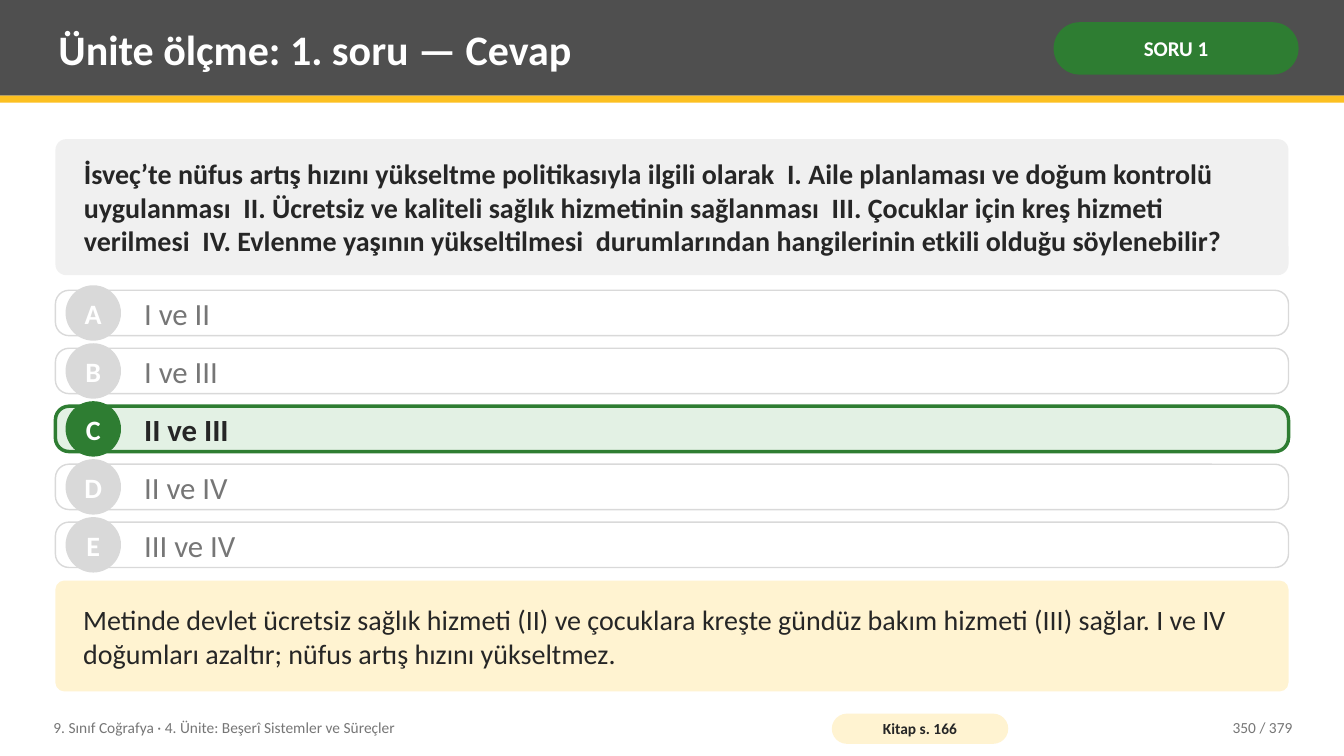
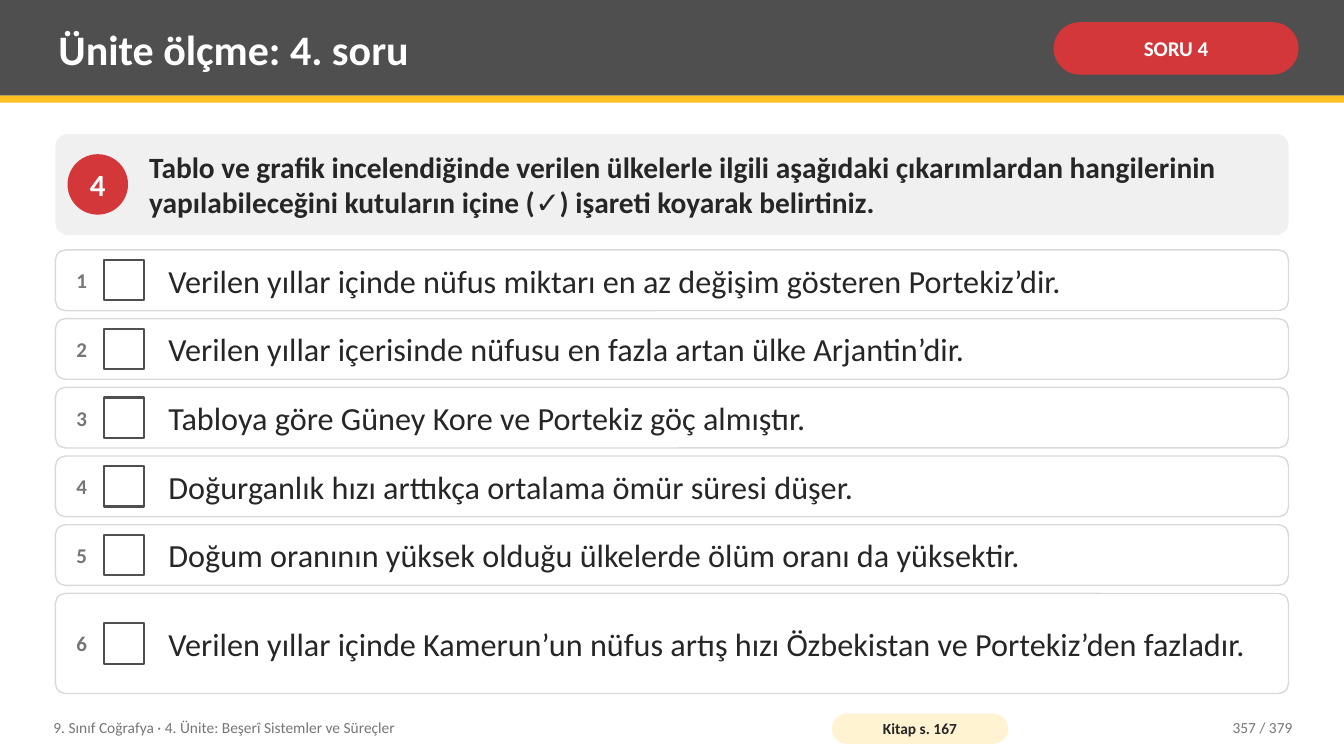
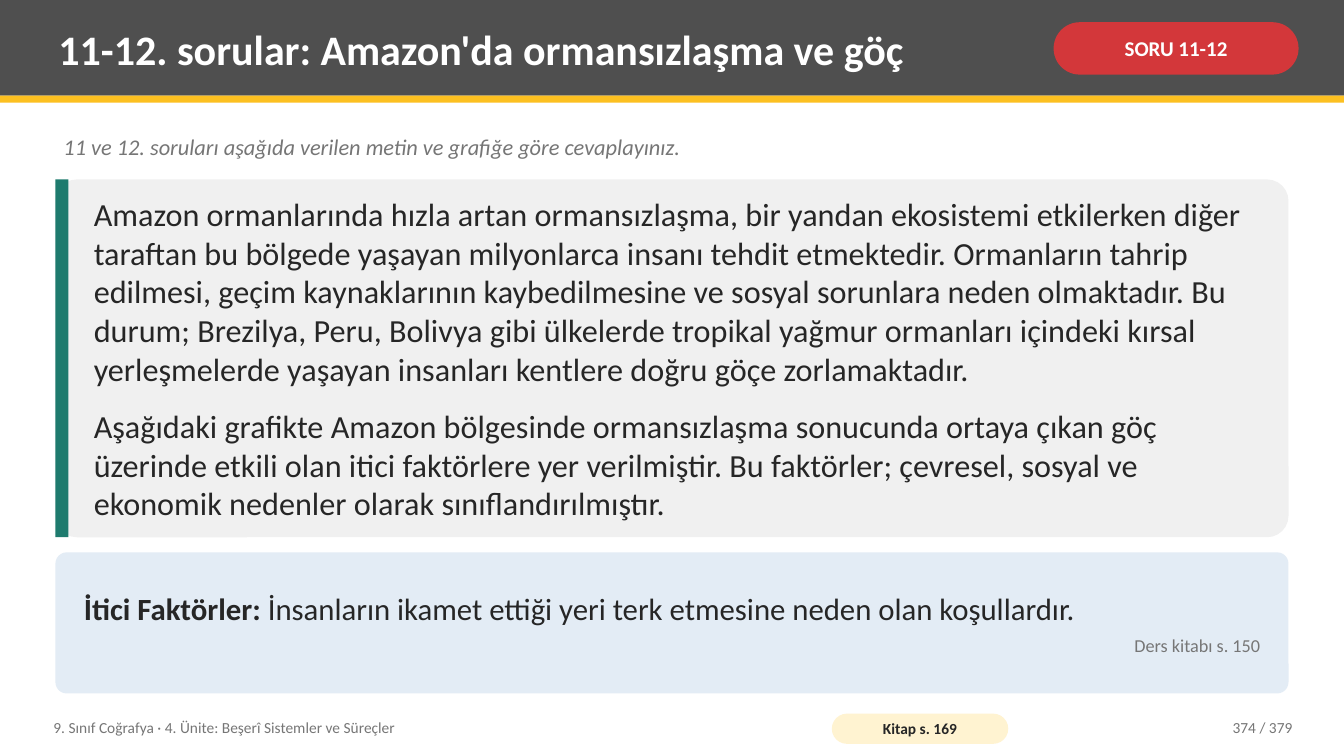
from pptx import Presentation
from pptx.dml.color import RGBColor
from pptx.enum.shapes import MSO_SHAPE
from pptx.enum.text import MSO_ANCHOR, PP_ALIGN
from pptx.util import Inches, Pt

HUES = {
    "white": "FFFFFF", "dark": "4F4F4F", "gold": "FCC021", "green": "2E7D32",
    "mint": "E3F1E4", "red": "D3373A", "pale": "F0F0F0", "rule": "D9D9D9",
    "cream": "FFF3D1", "teal": "1E7B6E", "sky": "E3ECF5", "ink": "262626",
    "gray": "767676",
}
PAD = (0.08, 0.04)
CARD = (0.25, 0.08)
LEFT, WIDE, PAGES = 0.55, 12.23, 379
COURSE = "9. Sınıf Coğrafya · 4. Ünite: Beşerî Sistemler ve Süreçler"


def look(size, hue="ink", **more):
    """Return the font values for a text style."""
    return {"name": "Calibri", "size": Pt(size), "hue": hue, **more}


def shade(hue):
    """Return the named colour."""
    return RGBColor.from_string(HUES[hue])


def style(item, form):
    """Apply font values to a run."""
    for key, value in form.items():
        if key == "hue":
            item.font.color.rgb = shade(value)
        else:
            setattr(item.font, key, value)


def add_run(para, text, form):
    """Add one styled run to a paragraph."""
    run = para.add_run()
    run.text = text
    style(run, form)


def frame(item, pad=PAD, wrap=True, anchor=MSO_ANCHOR.MIDDLE):
    """Set margins, wrap and anchor, and return the text frame."""
    body = item.text_frame
    across, down = (Inches(size) for size in pad)
    values = {"margin_left": across, "margin_right": across,
              "margin_top": down, "margin_bottom": down,
              "word_wrap": wrap, "vertical_anchor": anchor}
    for key, value in values.items():
        setattr(body, key, value)
    return body


def write(item, text, form, align=PP_ALIGN.LEFT, **layout):
    """Fill a shape with one styled paragraph."""
    para = frame(item, **layout).paragraphs[0]
    para.alignment = align
    add_run(para, text, form)


def label(slide, box, text, form, **layout):
    """Add a text box."""
    item = slide.shapes.add_textbox(*map(Inches, box))
    write(item, text, form, **layout)


def shape(slide, kind, box, fill, line=None, weight=1, bend=None):
    """Add a flat preset shape."""
    item = slide.shapes.add_shape(kind, *map(Inches, box))
    item.shadow.inherit = False
    item.fill.solid()
    item.fill.fore_color.rgb = shade(fill)
    if line:
        item.line.color.rgb = shade(line)
        item.line.width = Pt(weight)
    else:
        item.line.fill.background()
    if bend is not None:
        item.adjustments[0] = bend
    return item


def block(slide, box, fill, **more):
    """Add a plain rectangle."""
    return shape(slide, MSO_SHAPE.RECTANGLE, box, fill, **more)


def panel(slide, box, fill, bend=0.08, **more):
    """Add a rounded panel."""
    return shape(slide, MSO_SHAPE.ROUNDED_RECTANGLE, box, fill, bend=bend, **more)


def pill(slide, box, fill, text, form, pad):
    """Add a fully rounded label."""
    write(panel(slide, box, fill, 0.5), text, form, PP_ALIGN.CENTER, pad=pad)


def badge(slide, box, fill, text, size):
    """Add a round marker with a centred sign."""
    item = shape(slide, MSO_SHAPE.OVAL, box, fill)
    write(item, text, look(size, "white", bold=True), PP_ALIGN.CENTER,
          pad=(0, 0), wrap=False)


def header(slide, box, title, tag, hue):
    """Draw the title band with its tag."""
    x, y, w, h = box
    block(slide, box, "dark")
    block(slide, (x, y + h, w, 0.07), "gold")
    label(slide, (x + 0.5, y + 0.07, 9.75, 0.82), title,
          look(30, "white", bold=True))
    pill(slide, (x + 10.45, y + 0.22, 2.43, 0.52), hue, tag,
         look(15, "white", bold=True), (0.05, 0.02))


def footer(slide, box, book, page):
    """Draw the course name, book page and slide count."""
    x, y, w, h = box
    small = look(11, "gray")
    label(slide, (x, y, 7.6, h), COURSE, small)
    pill(slide, (x + 7.8, y + 0.04, 1.75, 0.3), "cream", f"Kitap s. {book}",
         look(11, bold=True), (0.04, 0))
    label(slide, (x + w - 1.6, y, 1.6, h), f"{page} / {PAGES}", small,
          align=PP_ALIGN.RIGHT)


def choices(slide, box, texts, right):
    """Draw lettered answers and mark the right one."""
    x, y, w, h = box
    row, disc = 0.45, 0.55
    step = (h - row) / (len(texts) - 1)
    for num, (sign, text) in enumerate(zip("ABCDE", texts)):
        top = y + num * step
        hit = sign == right
        fill, line, weight = ("mint", "green", 2.5) if hit else ("white", "rule", 1)
        panel(slide, (x, top, w, row), fill, 0.3, line=line, weight=weight)
        badge(slide, (x + 0.1, top + (row - disc) / 2, disc, disc), line, sign, 20)
        label(slide, (x + 0.8, top, w - 1, row), text,
              look(22, "ink" if hit else "gray", bold=hit))


def prompt(slide, box, sign, text):
    """Draw a numbered question."""
    x, y, w, h = box
    disc = 0.6
    panel(slide, box, "pale", 0.12)
    badge(slide, (x + 0.12, y + (h - disc) / 2, disc, disc), "red", sign, 22)
    label(slide, (x + 0.85, y, w - 0.95, h), text, look(21, bold=True))


def checks(slide, box, texts):
    """Draw numbered rows with tick boxes, the last row taller."""
    x, y, w, h = box
    gap, tick, last = 0.08, 0.4, 1.65
    count = len(texts)
    unit = (h - gap * (count - 1)) / (count - 1 + last)
    for num, text in enumerate(texts):
        top = y + num * (unit + gap)
        row = unit * last if num == count - 1 else unit
        panel(slide, (x, top, w, row), "white", 0.1 / row, line="rule")
        label(slide, (x + 0.06, top, 0.4, row), str(num + 1),
              look(15, "gray", bold=True), align=PP_ALIGN.CENTER, pad=(0, 0.04))
        block(slide, (x + 0.48, top + (row - tick) / 2, tick, tick), "white",
              line="dark", weight=1.5)
        label(slide, (x + 1.04, top, w - 1.12, row), text, look(23))


def passage(slide, box, texts):
    """Draw a reading text with a side bar."""
    x, y, w, h = box
    panel(slide, box, "pale", 0.06)
    block(slide, (x, y, 0.13, h), "teal")
    item = slide.shapes.add_textbox(*map(Inches, (x + 0.3, y, w - 0.45, h)))
    body = frame(item)
    for num, text in enumerate(texts):
        para = body.add_paragraph() if num else body.paragraphs[0]
        if num < len(texts) - 1:
            para.space_after = Pt(13.4)
        add_run(para, text, look(23))


def meaning(slide, box, term, text, source):
    """Draw a term, its meaning and its source."""
    body = frame(panel(slide, box, "sky"), CARD)
    first = body.paragraphs[0]
    first.alignment = PP_ALIGN.LEFT
    first.space_after = Pt(6)
    add_run(first, term, look(22, bold=True))
    add_run(first, text, look(22, bold=False))
    second = body.add_paragraph()
    second.alignment = PP_ALIGN.RIGHT
    add_run(second, source, look(13, "gray"))


def page(deck, title, tag, hue, book, num):
    """Add a slide with the shared header and footer."""
    slide = deck.slides.add_slide(deck.slide_layouts[6])
    header(slide, (0, 0, 13.33, 0.95), title, tag, hue)
    footer(slide, (0.45, 7.04, 12.45, 0.36), book, num)
    return slide


def answer(deck):
    """Build the answer slide."""
    slide = page(deck, "Ünite ölçme: 1. soru — Cevap", "SORU 1", "green", 166, 350)
    write(panel(slide, (LEFT, 1.38, WIDE, 1.35), "pale"),
          "İsveç’te nüfus artış hızını yükseltme politikasıyla ilgili olarak  "
          "I. Aile planlaması ve doğum kontrolü uygulanması  "
          "II. Ücretsiz ve kaliteli sağlık hizmetinin sağlanması  "
          "III. Çocuklar için kreş hizmeti verilmesi  "
          "IV. Evlenme yaşının yükseltilmesi  "
          "durumlarından hangilerinin etkili olduğu söylenebilir?",
          look(20, bold=True), pad=CARD)
    choices(slide, (LEFT, 2.88, WIDE, 2.75),
            ["I ve II", "I ve III", "II ve III", "II ve IV", "III ve IV"], "C")
    write(panel(slide, (LEFT, 5.76, WIDE, 1.1), "cream"),
          "Metinde devlet ücretsiz sağlık hizmeti (II) ve çocuklara kreşte "
          "gündüz bakım hizmeti (III) sağlar. I ve IV doğumları azaltır; "
          "nüfus artış hızını yükseltmez.", look(20), pad=CARD)


def survey(deck):
    """Build the tick box slide."""
    slide = page(deck, "Ünite ölçme: 4. soru", "SORU 4", "red", 167, 357)
    prompt(slide, (LEFT, 1.33, WIDE, 1), "4",
           "Tablo ve grafik incelendiğinde verilen ülkelerle ilgili aşağıdaki "
           "çıkarımlardan hangilerinin yapılabileceğini kutuların içine (✓) "
           "işareti koyarak belirtiniz.")
    checks(slide, (LEFT, 2.48, WIDE, 4.4), [
        "Verilen yıllar içinde nüfus miktarı en az değişim gösteren Portekiz’dir.",
        "Verilen yıllar içerisinde nüfusu en fazla artan ülke Arjantin’dir.",
        "Tabloya göre Güney Kore ve Portekiz göç almıştır.",
        "Doğurganlık hızı arttıkça ortalama ömür süresi düşer.",
        "Doğum oranının yüksek olduğu ülkelerde ölüm oranı da yüksektir.",
        "Verilen yıllar içinde Kamerun’un nüfus artış hızı Özbekistan ve "
        "Portekiz’den fazladır."])


def reading(deck):
    """Build the reading slide."""
    slide = page(deck, "11-12. sorular: Amazon'da ormansızlaşma ve göç",
                 "SORU 11-12", "red", 169, 374)
    label(slide, (LEFT, 1.28, WIDE, 0.4),
          "11 ve 12. soruları aşağıda verilen metin ve grafiğe göre cevaplayınız.",
          look(16, "gray", italic=True), anchor=MSO_ANCHOR.TOP)
    passage(slide, (LEFT, 1.78, WIDE, 3.55), [
        "Amazon ormanlarında hızla artan ormansızlaşma, bir yandan ekosistemi "
        "etkilerken diğer taraftan bu bölgede yaşayan milyonlarca insanı tehdit "
        "etmektedir. Ormanların tahrip edilmesi, geçim kaynaklarının "
        "kaybedilmesine ve sosyal sorunlara neden olmaktadır. Bu durum; "
        "Brezilya, Peru, Bolivya gibi ülkelerde tropikal yağmur ormanları "
        "içindeki kırsal yerleşmelerde yaşayan insanları kentlere doğru göçe "
        "zorlamaktadır.",
        "Aşağıdaki grafikte Amazon bölgesinde ormansızlaşma sonucunda ortaya "
        "çıkan göç üzerinde etkili olan itici faktörlere yer verilmiştir. Bu "
        "faktörler; çevresel, sosyal ve ekonomik nedenler olarak "
        "sınıflandırılmıştır."])
    meaning(slide, (LEFT, 5.48, WIDE, 1.4), "İtici Faktörler:",
            " İnsanların ikamet ettiği yeri terk etmesine neden olan koşullardır.",
            "Ders kitabı s. 150")


def main():
    """Build and save the deck."""
    deck = Presentation()
    deck.slide_width, deck.slide_height = Inches(13.33), Inches(7.5)
    for build in (answer, survey, reading):
        build(deck)
    deck.save("out.pptx")


if __name__ == "__main__":
    main()
